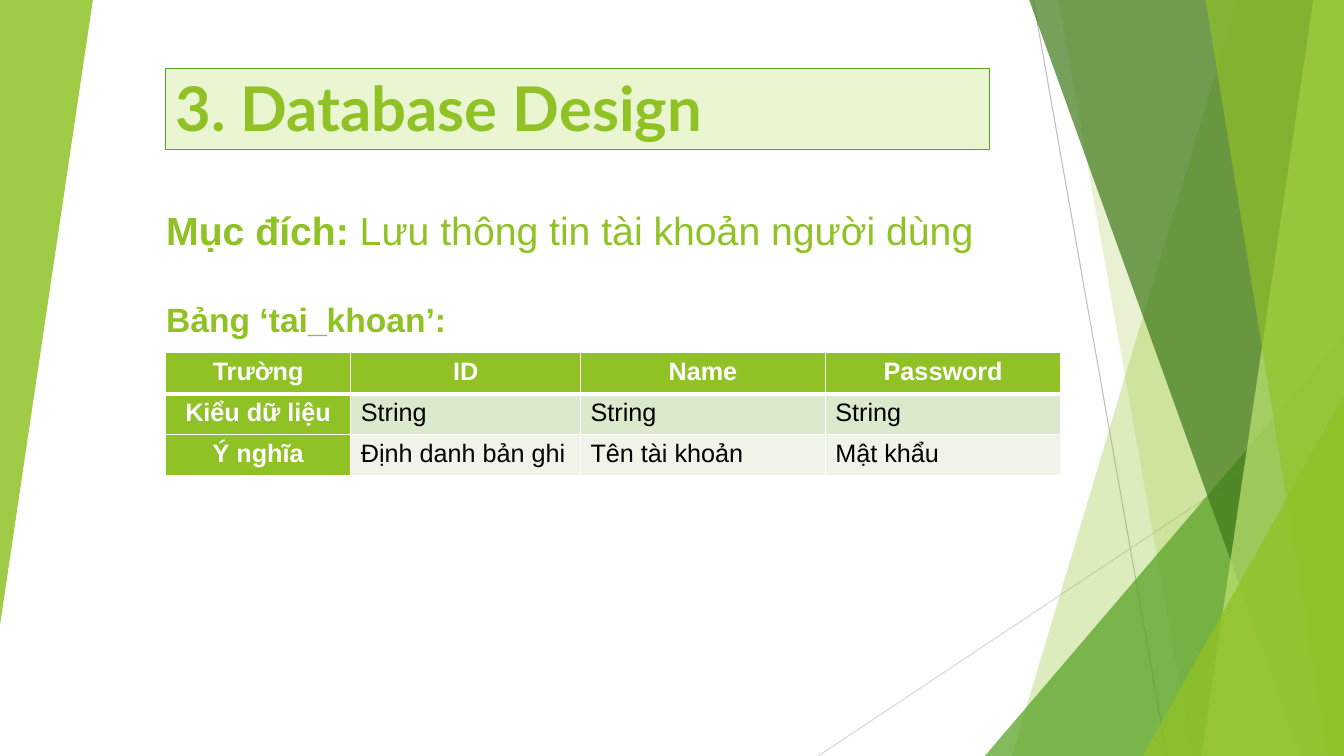
from lxml.etree import SubElement
from pptx import Presentation
from pptx.dml.color import RGBColor
from pptx.enum.shapes import MSO_CONNECTOR, MSO_SHAPE
from pptx.enum.text import MSO_ANCHOR, PP_ALIGN
from pptx.oxml.ns import qn
from pptx.util import Cm, Pt

GREEN = RGBColor(0x90, 0xC2, 0x26)
DARK_GREEN = RGBColor(0x54, 0xA0, 0x21)
FOREST = RGBColor(0x3F, 0x78, 0x19)
LIME = RGBColor(0xC0, 0xE4, 0x74)
PALE_GREEN = RGBColor(0xEA, 0xF6, 0xD1)
BAND_DARK = RGBColor(0xDB, 0xE9, 0xCD)
BAND_LIGHT = RGBColor(0xEE, 0xF4, 0xE8)
GRAY = RGBColor(0xBF, 0xBF, 0xBF)
LIGHT_GRAY = RGBColor(0xD9, 0xD9, 0xD9)
WHITE = RGBColor(0xFF, 0xFF, 0xFF)
BLACK = RGBColor(0, 0, 0)
WIDTH, HEIGHT, TOP = 33.87, 19.05, -0.02


def paint(shape, color, opacity=100):
    """Give a shape a borderless, shadowless fill; opacity is in percent."""
    shape.shadow.inherit = False
    shape.line.fill.background()
    shape.fill.solid()
    shape.fill.fore_color.rgb = color
    if opacity < 100:
        color_element = shape._element.spPr.find(qn("a:solidFill"))[0]
        SubElement(color_element, qn("a:alpha"), val=str(opacity * 1000))


def add_text(paragraph, text, **font_format):
    run = paragraph.add_run()
    run.text = text
    color = font_format.pop("color")
    for name, value in font_format.items():
        setattr(run.font, name, value)
    run.font.color.rgb = color


presentation = Presentation()
presentation.slide_width = Cm(WIDTH)
presentation.slide_height = Cm(HEIGHT)
slide = presentation.slides.add_slide(presentation.slide_layouts[6])
shapes = slide.shapes

# Thin background lines
for ends, color in [
    ((26.04, 0, 29.41, HEIGHT), GRAY),
    ((WIDTH, 10.24, 20.62, HEIGHT), LIGHT_GRAY),
]:
    line = shapes.add_connector(MSO_CONNECTOR.STRAIGHT, *map(Cm, ends))
    line.line.color.rgb = color
    line.line.width = Pt(0.75)
    SubElement(line._element.spPr, qn("a:effectLst"))

# Facets: bands take the x of their top and bottom left corners,
# triangles the left and top of their box
for kind, first, second, color, opacity in [
    ("band", 31.19, 25.5, GREEN, 30),
    ("band", 26.67, 30.05, GREEN, 20),
    ("triangle", 24.82, 8.46, DARK_GREEN, 72),
    ("band", 25.93, 32.79, FOREST, 70),
    ("band", 33.1, 30.28, LIME, 70),
    ("band", 30.38, 33.48, GREEN, 65),
    ("triangle", 28.8, 9.98, GREEN, 80),
]:
    if kind == "band":
        builder = shapes.build_freeform(Cm(first), Cm(TOP))
        corners = [(WIDTH, TOP), (WIDTH, HEIGHT), (second, HEIGHT)]
        builder.add_line_segments([(Cm(x), Cm(y)) for x, y in corners])
        facet = builder.convert_to_shape()
    else:
        facet = shapes.add_shape(MSO_SHAPE.ISOSCELES_TRIANGLE, Cm(first), Cm(second),
                                 Cm(WIDTH - first), Cm(HEIGHT - second))
        facet.adjustments[0] = 1
    paint(facet, color, opacity)

left_facet = shapes.add_shape(MSO_SHAPE.ISOSCELES_TRIANGLE, 0, 0, Cm(2.34), Cm(15.75))
left_facet.adjustments[0] = 1
left_facet.rotation = 180
paint(left_facet, GREEN, 85)

# Title
title = shapes.add_shape(MSO_SHAPE.RECTANGLE, Cm(4.17), Cm(1.73), Cm(20.78), Cm(2.03))
paint(title, PALE_GREEN)
title.line.color.rgb = DARK_GREEN
title.line.width = Pt(0.75)
title.text_frame.word_wrap = True
title.text_frame.vertical_anchor = MSO_ANCHOR.BOTTOM
paragraph = title.text_frame.paragraphs[0]
paragraph.alignment = PP_ALIGN.LEFT
add_text(paragraph, "3. Database Design", name="Lato", size=Pt(44), bold=True, color=GREEN)

# Account table
rows = [
    ("Trường", "ID", "Name", "Password"),
    ("Kiểu dữ liệu", "String", "String", "String"),
    ("Ý nghĩa", "Định danh bản ghi", "Tên tài khoản", "Mật khẩu"),
]
column_widths = [4.67, 5.79, 6.17, 5.94]
row_height = 1.03
table = shapes.add_table(len(rows), len(column_widths), Cm(4.17), Cm(8.89),
                         Cm(sum(column_widths)), Cm(row_height * len(rows))).table
table.first_col = True
for column, width in zip(table.columns, column_widths):
    column.width = Cm(width)
for row_index, texts in enumerate(rows):
    table.rows[row_index].height = Cm(row_height)
    for column_index, text in enumerate(texts):
        cell = table.cell(row_index, column_index)
        is_header = row_index == 0 or column_index == 0
        for side in ("lnL", "lnR", "lnT", "lnB"):
            thick = (row_index, side) in [(0, "lnB"), (1, "lnT")]
            border = SubElement(cell._tc.get_or_add_tcPr(), qn(f"a:{side}"),
                                w=str(Pt(3 if thick else 1)))
            SubElement(SubElement(border, qn("a:solidFill")), qn("a:srgbClr"), val=str(WHITE))
        cell.fill.solid()
        cell.fill.fore_color.rgb = GREEN if is_header else (BAND_DARK, BAND_LIGHT)[row_index - 1]
        paragraph = cell.text_frame.paragraphs[0]
        paragraph.alignment = PP_ALIGN.CENTER if is_header else PP_ALIGN.LEFT
        add_text(paragraph, text, name="Arial", size=Pt(18), bold=is_header,
                 color=WHITE if is_header else BLACK)

# Purpose and table name
purpose = shapes.add_shape(MSO_SHAPE.RECTANGLE, Cm(3.94), Cm(5.03), Cm(22.81), Cm(3.68))
paint(purpose, WHITE)
purpose.line.color.rgb = WHITE
purpose.line.width = Pt(1.5)
frame = purpose.text_frame
frame.word_wrap = True
frame.vertical_anchor = MSO_ANCHOR.MIDDLE
heading, caption = frame.paragraphs[0], frame.add_paragraph()
heading.alignment = caption.alignment = PP_ALIGN.LEFT
caption.space_before = Pt(32)
for paragraph, text, size, bold in [
    (heading, "Mục đích: ", 28, True),
    (heading, "Lưu thông tin tài khoản người dùng", 28, False),
    (caption, "Bảng ‘tai_khoan’:", 24, True),
]:
    add_text(paragraph, text, name="Arial", size=Pt(size), bold=bold, color=GREEN)

presentation.save("out.pptx")
